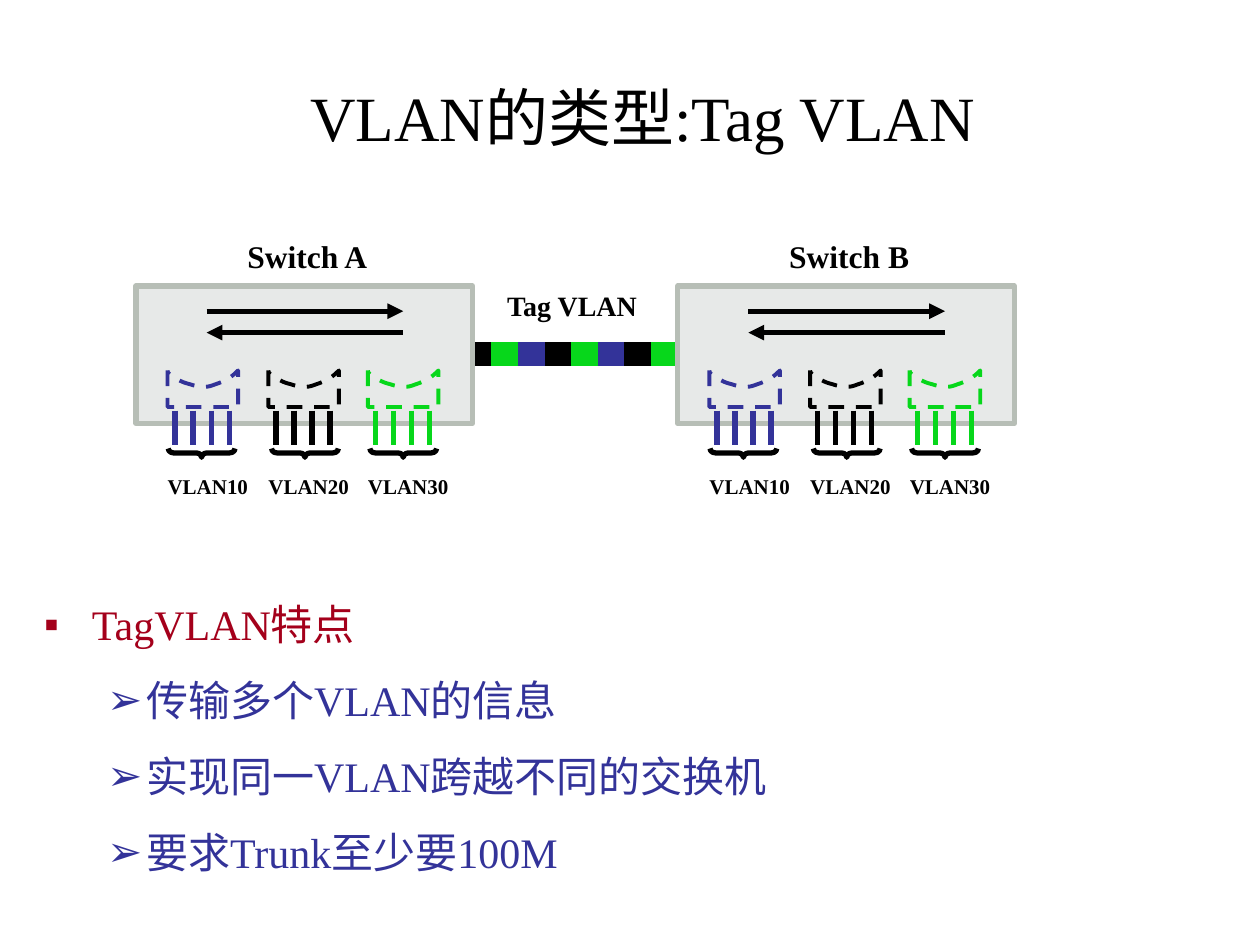
import dataclasses

import lxml.etree
import pptx
import pptx.dml.color
import pptx.enum.dml
import pptx.enum.shapes
import pptx.enum.text
import pptx.oxml.ns
import pptx.util

Inches = pptx.util.Inches
Pt = pptx.util.Pt
qn = pptx.oxml.ns.qn


@dataclasses.dataclass(frozen=True)
class Theme:
    font: str = "Times New Roman"
    black: str = "000000"
    blue: str = "333399"
    green: str = "07D71B"
    red: str = "A4001B"
    switch_fill: str = "E7E9E8"
    switch_edge: str = "B7BEB6"
    title_size: int = 36
    body_size: int = 24
    switch_size: int = 18
    trunk_size: int = 16
    vlan_size: int = 12
    trunk_line: int = 14
    line: int = 3
    dash_line: float = 2.25


theme = Theme()
rgb = pptx.dml.color.RGBColor.from_string


def draw_line(group, start, end, color, width, arrow=None):
    line = group.shapes.add_connector(
        pptx.enum.shapes.MSO_CONNECTOR.STRAIGHT, *map(Inches, start + end)
    )
    line.line.color.rgb = rgb(color)
    line.line.width = Pt(width)
    properties = line._element.spPr
    if arrow:
        lxml.etree.SubElement(properties.find(qn("a:ln")), qn(arrow), type="triangle")
    lxml.etree.SubElement(properties, qn("a:effectLst"))


def write_label(group, text, center, top, width, height, size):
    box = group.shapes.add_textbox(
        Inches(center - width / 2), Inches(top), Inches(width), Inches(height)
    )
    box.text_frame.word_wrap = False
    box.text_frame.vertical_anchor = pptx.enum.text.MSO_ANCHOR.MIDDLE
    para = box.text_frame.paragraphs[0]
    para.alignment = pptx.enum.text.PP_ALIGN.CENTER
    span = para.add_run()
    span.text = text
    span.font.name = theme.font
    span.font.size = Pt(size)
    span.font.bold = True
    span.font.color.rgb = rgb(theme.black)


deck = pptx.Presentation()
deck.slide_width = Inches(10)
deck.slide_height = Inches(7.5)
page = deck.slides.add_slide(deck.slide_layouts[1])

title = page.shapes.title
title.left, title.top, title.width, title.height = map(Inches, (1, 0.5, 8.2, 0.85))
title.text_frame.vertical_anchor = pptx.enum.text.MSO_ANCHOR.MIDDLE
title.text_frame.auto_size = pptx.enum.text.MSO_AUTO_SIZE.NONE
para = title.text_frame.paragraphs[0]
para.alignment = pptx.enum.text.PP_ALIGN.CENTER
span = para.add_run()
span.text = "VLAN的类型:Tag VLAN"
span.font.name = theme.font
span.font.size = Pt(theme.title_size)
span.font.color.rgb = rgb(theme.black)

diagram = page.shapes.add_group_shape()
trunk_left, trunk_right, trunk_count = 3.69, 5.59, 9
trunk_step = (trunk_right - trunk_left) / trunk_count
trunk_colors = (theme.black, theme.green, theme.blue)
for index in range(trunk_count):
    left = trunk_left + index * trunk_step
    draw_line(diagram, (left + trunk_step, 2.81), (left, 2.81),
              trunk_colors[index % 3], theme.trunk_line)

cup_curves = [
    [(0.56, 0), (0.53, 0.03), (0.53, 0.03), (0.49, 0.06)],
    [(0.49, 0.06), (0.45, 0.08), (0.44, 0.09), (0.38, 0.11)],
    [(0.38, 0.11), (0.33, 0.13), (0.31, 0.13), (0.28, 0.13)],
    [(0.28, 0.13), (0.25, 0.13), (0.21, 0.12), (0.18, 0.11)],
    [(0.18, 0.11), (0.14, 0.1), (0.11, 0.09), (0.06, 0.06)],
    [(0.06, 0.06), (0.04, 0.04), (0, 0.03), (0, 0)],
]
cup_points = [(0, 0.29), (0.56, 0.29), (0.56, 0)]
for curve in cup_curves:
    for step in range(1, 7):
        t = step / 6
        weights = ((1 - t) ** 3, 3 * t * (1 - t) ** 2, 3 * t * t * (1 - t), t ** 3)
        cup_points.append(tuple(
            sum(weight * point[axis] for weight, point in zip(weights, curve))
            for axis in (0, 1)
        ))

vlans = [
    ("VLAN10", theme.blue, 1.33, 1.6, 1.65),
    ("VLAN20", theme.black, 2.13, 2.42, 2.45),
    ("VLAN30", theme.green, 2.92, 3.2, 3.24),
]
for name, offset in (("Switch A", 0), ("Switch B", 4.3)):
    write_label(diagram, name, 2.44 + offset, 1.83, 1.16, 0.4, theme.switch_size)
    switch = diagram.shapes.add_shape(
        pptx.enum.shapes.MSO_SHAPE.RECTANGLE,
        Inches(1.08 + offset), Inches(2.27), Inches(2.67), Inches(1.09),
    )
    switch.shadow.inherit = False
    switch.fill.solid()
    switch.fill.fore_color.rgb = rgb(theme.switch_fill)
    switch.line.color.rgb = rgb(theme.switch_edge)
    switch.line.width = Pt(theme.line)

    for y, arrow in ((2.47, "a:tailEnd"), (2.64, "a:headEnd")):
        draw_line(diagram, (1.64 + offset, y), (3.2 + offset, y),
                  theme.black, theme.line, arrow)

    for vlan, color, cup_left, brace_center, label_center in vlans:
        left = cup_left + offset
        outline = diagram.shapes.build_freeform(Inches(left), Inches(2.94))
        outline.add_line_segments(
            [(Inches(left + x), Inches(2.94 + y)) for x, y in cup_points]
        )
        cup = outline.convert_to_shape()
        cup.shadow.inherit = False
        cup.fill.background()
        cup.line.color.rgb = rgb(color)
        cup.line.width = Pt(theme.dash_line)
        cup.line.dash_style = pptx.enum.dml.MSO_LINE.DASH

        for port in range(4):
            x = left + 0.06 + port * 0.143
            draw_line(diagram, (x, 3.26), (x, 3.53), color, theme.line)

        brace = diagram.shapes.add_shape(
            pptx.enum.shapes.MSO_SHAPE.RIGHT_BRACE,
            Inches(brace_center + offset - 0.035), Inches(3.33), Inches(0.07), Inches(0.53),
        )
        brace.rotation = 90
        brace.adjustments[0] = 0.6
        brace.shadow.inherit = False
        brace.fill.background()
        brace.line.color.rgb = rgb(theme.black)
        brace.line.width = Pt(theme.line)
        write_label(diagram, vlan, label_center + offset, 3.71, 0.84, 0.3, theme.vlan_size)

write_label(diagram, "Tag VLAN", 4.54, 2.24, 1.25, 0.37, theme.trunk_size)

body = page.placeholders[1]
body.left, body.top, body.width, body.height = map(Inches, (0.25, 4.5, 9, 2.58))
body.text_frame.auto_size = pptx.enum.text.MSO_AUTO_SIZE.NONE
features = [
    ("TagVLAN特点", 0),
    ("传输多个VLAN的信息", 1),
    ("实现同一VLAN跨越不同的交换机", 1),
    ("要求Trunk至少要100M", 1),
]
levels = [
    ("▪", theme.red, 0.38, -0.38, 1.5),
    ("➢", theme.blue, 0.81, -0.31, 1.3),
]
for index, (text, level) in enumerate(features):
    bullet, color, margin, indent, spacing = levels[level]
    para = body.text_frame.add_paragraph() if index else body.text_frame.paragraphs[0]
    para.level = level
    para.line_spacing = spacing
    para.space_before = Pt(6)
    properties = para._p.get_or_add_pPr()
    properties.set("marL", str(Inches(margin)))
    properties.set("indent", str(Inches(indent)))
    bullet_color = lxml.etree.SubElement(properties, qn("a:buClr"))
    lxml.etree.SubElement(bullet_color, qn("a:srgbClr"), val=color)
    lxml.etree.SubElement(properties, qn("a:buChar"), char=bullet)
    span = para.add_run()
    span.text = text
    span.font.name = theme.font
    span.font.size = Pt(theme.body_size)
    span.font.color.rgb = rgb(color)

deck.save("out.pptx")
